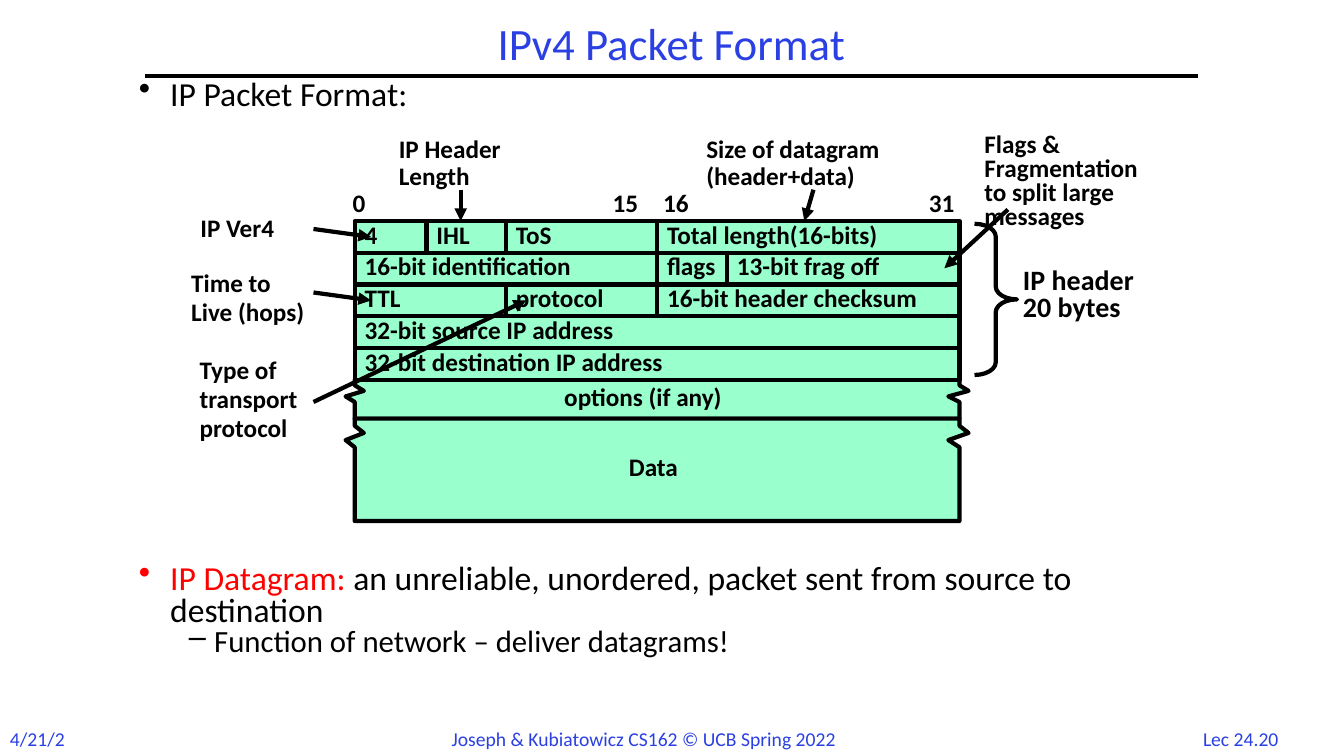
from dataclasses import dataclass

from lxml import etree
from pptx import Presentation, util as u
from pptx.dml.color import RGBColor
from pptx.enum import shapes, text
from pptx.oxml import ns

BLUE = RGBColor(0x2A, 0x40, 0xE2)
MINT = RGBColor(0x99, 0xFF, 0xCC)
RED = RGBColor(0xFF, 0x00, 0x00)
BLACK = RGBColor(0x00, 0x00, 0x00)
STROKE = u.Pt(3)
ROW_HEIGHT = 0.8
WORD_BITS = 32

HEADER_ROWS = [
    [("4", 0, 3.8), ("IHL", 3.8, 8), ("ToS", 8, 16), ("Total length(16-bits)", 16, 32)],
    [("16-bit identification", 0, 16), ("flags", 16, 19.7), ("13-bit frag off", 19.7, 32)],
    [("TTL", 0, 8), ("protocol", 8, 16), ("16-bit header checksum", 16, 32)],
    [("32-bit source IP address", 0, 32)],
    [("32-bit destination IP address", 0, 32)],
]
BIT_NUMBERS = [("0", -0.3, 0.86), ("15", 6.25, 1.22), ("16", 7.52, 1.22), ("31", 14.22, 1.22)]
CALLOUTS = [
    (["IP Ver4"], (-4.14, -0.19, 2.64, 0.86), 3.6, (-1.04, 0.2, 0.41, 0.4)),
    (["IP Header", "Length"], (0.86, -2.19, 3.45, 1.55), 1.8, (2.67, -0.79, 2.67, 0)),
    (["Size of datagram", "(header+data)"], (8.61, -2.19, 5.64, 1.55), 1.8,
     (11.56, -0.79, 11.33, 0)),
    (["Flags &", "Fragmentation", "to split large", "messages"],
     (15.62, -2.32, 4.95, 2.72), 0, (16.46, -0.29, 14.86, 1.19)),
    (["Time to", "Live (hops)"], (-4.37, 1.19, 3.94, 1.63), 3.6, (-1.04, 1.8, 0.41, 2)),
    (["Type of", "transport", "protocol"], (-4.16, 3.37, 3.38, 2.39), 3.6,
     (-1.04, 4.56, 4.32, 2)),
]


@dataclass
class Box:
    left: float
    top: float
    width: float
    height: float

    def inner(self, left, top, width, height):
        return Box(self.left + left, self.top + top, width, height)

    def cm(self):
        return [u.Cm(side) for side in (self.left, self.top, self.width, self.height)]


def style_paragraph(paragraph, size, color, bold=False, spacing=None, before=0):
    paragraph.line_spacing = spacing
    paragraph.space_before = u.Pt(before)
    font = paragraph.font
    font.name, font.size, font.bold = "Calibri", u.Pt(size), bold
    font.color.rgb = color


def add_label(slide, box, lines, size=18, color=BLACK, bold=True, spacing=0.8, before=3.6,
              align=text.PP_ALIGN.LEFT):
    label = slide.shapes.add_textbox(*box.cm())
    frame = label.text_frame
    frame.word_wrap = False
    frame.auto_size = text.MSO_AUTO_SIZE.SHAPE_TO_FIT_TEXT
    frame.text = "\n".join(lines)
    for paragraph in frame.paragraphs:
        paragraph.alignment = align
        style_paragraph(paragraph, size, color, bold, spacing, before)


def add_stroke(slide, box, start_x, start_y, end_x, end_y, arrow=False):
    ends = (box.left + start_x, box.top + start_y, box.left + end_x, box.top + end_y)
    stroke = slide.shapes.add_connector(shapes.MSO_CONNECTOR.STRAIGHT, *map(u.Cm, ends))
    stroke.line.color.rgb = BLACK
    stroke.line.width = STROKE
    if arrow:
        etree.SubElement(stroke.line._get_or_add_ln(), ns.qn("a:tailEnd"), type="triangle")
    etree.SubElement(stroke._element.spPr, ns.qn("a:effectLst"))


def outline(part, filled=True):
    part.shadow.inherit = False
    part.line.color.rgb = BLACK
    part.line.width = STROKE
    if filled:
        part.fill.solid()
        part.fill.fore_color.rgb = MINT
    else:
        part.fill.background()


def add_field(slide, box, name):
    field = slide.shapes.add_shape(shapes.MSO_SHAPE.RECTANGLE, *box.cm())
    outline(field)
    frame = field.text_frame
    frame.word_wrap = False
    frame.vertical_anchor = text.MSO_ANCHOR.MIDDLE
    frame.text = name
    frame.paragraphs[0].alignment = text.PP_ALIGN.LEFT
    style_paragraph(frame.paragraphs[0], 18, BLACK, True, 0.8, 3.6)


def add_torn_band(slide, box, tear):
    width, height = box.width, box.height
    corners = [
        (0, 0), (0, tear), (0.23, 2 * tear), (-0.23, 3 * tear), (0, 4 * tear), (0, height),
        (width, height), (width, 4 * tear), (width - 0.28, 3 * tear),
        (width + 0.23, 2 * tear), (width, tear), (width, 0),
    ]
    points = [(u.Cm(box.left + x), u.Cm(box.top + y)) for x, y in corners]
    builder = slide.shapes.build_freeform(*points[0])
    builder.add_line_segments(points[1:], close=True)
    outline(builder.convert_to_shape())


def add_packet(slide, box):
    bit = box.width / WORD_BITS
    header_height = ROW_HEIGHT * len(HEADER_ROWS)
    options = box.inner(0, header_height, box.width, 0.98)
    data_top = header_height + options.height
    add_torn_band(slide, options, 0.14)
    for row, fields in enumerate(HEADER_ROWS):
        for name, first, last in fields:
            cell = box.inner(first * bit, row * ROW_HEIGHT, (last - first) * bit, ROW_HEIGHT)
            add_field(slide, cell, name)
    add_torn_band(slide, box.inner(0, data_top, box.width, box.height - data_top), 0.18)
    add_label(slide, box.inner(5.03, 4.06, 5.18, 0.86), ["options (if any)"])
    add_label(slide, box.inner(6.66, 5.83, 1.9, 0.86), ["Data"])
    for number, left, width in BIT_NUMBERS:
        add_label(slide, box.inner(left, -0.82, width, 0.86), [number])


def add_annotations(slide, box):
    for lines, place, before, arrow in CALLOUTS:
        add_label(slide, box.inner(*place), lines, before=before)
        add_stroke(slide, box, *arrow, arrow=True)
    brace = slide.shapes.add_shape(shapes.MSO_SHAPE.RIGHT_BRACE,
                                   *box.inner(15.62, 0.07, 1.07, 3.81).cm())
    brace.adjustments[0] = 0.3
    outline(brace, filled=False)
    add_label(slide, box.inner(16.59, 1.08, 3.71, 1.63), ["IP header", "20 bytes"],
              size=20, before=0)


def add_title(slide, box):
    title = slide.shapes.add_textbox(*box.cm()).text_frame
    title.word_wrap = True
    title.vertical_anchor = text.MSO_ANCHOR.MIDDLE
    title.text = "IPv4 Packet Format"
    title.paragraphs[0].alignment = text.PP_ALIGN.CENTER
    style_paragraph(title.paragraphs[0], 32, BLUE, spacing=0.9)
    add_stroke(slide, box, 0, box.height, box.width, box.height)


def add_bullets(slide, box, bullets):
    frame = slide.shapes.add_textbox(*box.cm()).text_frame
    frame.word_wrap = True
    for index, (mark, margin, hang, size, runs) in enumerate(bullets):
        paragraph = frame.add_paragraph() if index else frame.paragraphs[0]
        properties = paragraph._p.get_or_add_pPr()
        properties.set("marL", str(u.Cm(margin)))
        properties.set("indent", str(-u.Cm(hang)))
        mark_color = etree.SubElement(properties, ns.qn("a:buClr"))
        etree.SubElement(mark_color, ns.qn("a:srgbClr"), val=str(runs[0][1]))
        etree.SubElement(properties, ns.qn("a:buChar"), char=mark)
        style_paragraph(paragraph, size, BLACK, spacing=0.8)
        for words, color in runs:
            run = paragraph.add_run()
            run.text = words
            if color != BLACK:
                run.font.color.rgb = color


def add_footer(slide, box):
    left, center = text.PP_ALIGN.LEFT, text.PP_ALIGN.CENTER
    for words, start, width, align in [
        ("4/21/22", 0, 2.03, left),
        ("Joseph & Kubiatowicz CS162 © UCB Spring 2022", 11.13, 10.49, left),
        ("Lec 24.20", 29.9, 2.74, center),
    ]:
        add_label(slide, box.inner(start, 0, width, box.height), [words], size=14,
                  color=BLUE, bold=False, spacing=1.0, before=0, align=align)


def main():
    deck = Presentation()
    deck.slide_width, deck.slide_height = u.Cm(33.87), u.Cm(19.05)
    slide = deck.slides.add_slide(deck.slide_layouts[6])
    packet = Box(8.94, 5.57, 15.24, 7.56)
    add_footer(slide, Box(0, 18.19, 33.87, 0.86))
    add_title(slide, Box(3.66, 0.43, 26.52, 1.48))
    add_bullets(slide, Box(3.25, 1.9, 27.23, 1.1),
                [("•", 0.79, 0.79, 24, [("IP Packet Format:", BLACK)])])
    add_bullets(slide, Box(3.25, 14.1, 27.23, 3), [
        ("•", 0.79, 0.79, 24, [
            ("IP Datagram: ", RED),
            ("an unreliable, unordered, packet sent from source to destination", BLACK)]),
        ("–", 1.9, 0.64, 22, [("Function of network – deliver datagrams!", BLACK)]),
    ])
    add_packet(slide, packet)
    add_annotations(slide, packet)
    deck.save("out.pptx")


if __name__ == "__main__":
    main()
